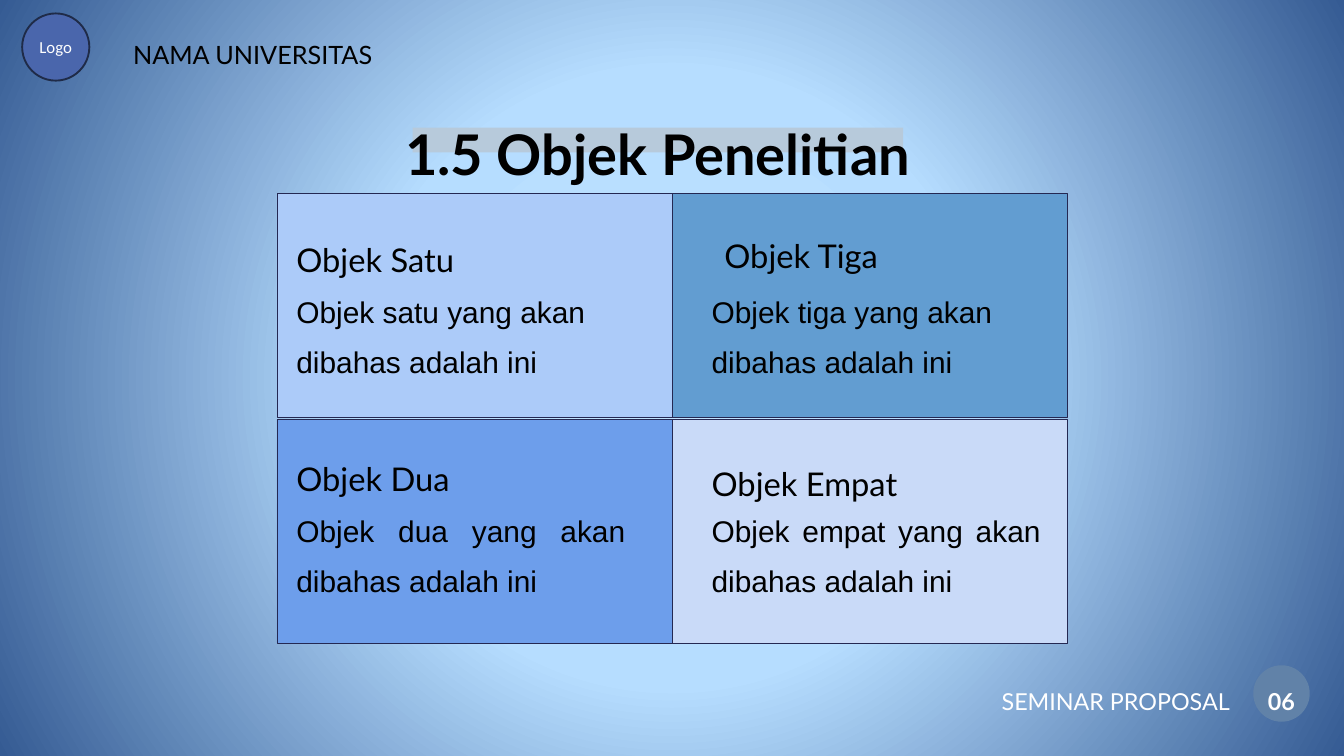
from pptx import Presentation
from pptx.dml.color import RGBColor
from pptx.enum.shapes import MSO_SHAPE
from pptx.enum.text import MSO_ANCHOR, MSO_AUTO_SIZE, PP_ALIGN
from pptx.oxml import parse_xml
from pptx.oxml.ns import nsdecls
from pptx.util import Inches, Pt

COLORS = {
    "black": "000000", "white": "FFFFFF", "outline": "242852",
    "satu": "ACCBF9", "tiga": "629DD1", "dua": "6D9EEB", "empat": "C9DAF8",
    "highlight": "B7CADB", "page_circle": "6182A8",
    "logo": "4A66AC", "logo_line": "1F2B48",
    "center": "C0E3FF", "middle": "B6DDFF", "edge": "355B93",
}

deck = Presentation()
deck.slide_width, deck.slide_height = Inches(20), Inches(11.25)
slide = deck.slides.add_slide(deck.slide_layouts[5])


def add_block(shape, left, top, width, height, fill, line=None, line_width=0.75):
    block = slide.shapes.add_shape(
        shape, Inches(left), Inches(top), Inches(width), Inches(height))
    block.shadow.inherit = False
    block.fill.solid()
    block.fill.fore_color.rgb = RGBColor.from_string(COLORS[fill])
    if line:
        block.line.color.rgb = RGBColor.from_string(COLORS[line])
        block.line.width = Pt(line_width)
    else:
        block.line.fill.background()
    return block


def add_text(text, left, top, width, height, size, font="Lato", color="black",
             bold=False, align=PP_ALIGN.LEFT, spacing=1.4, box=None):
    if box is None:
        box = slide.shapes.add_textbox(0, 0, 0, 0)
    box.left, box.top = Inches(left), Inches(top)
    box.width, box.height = Inches(width), Inches(height)
    frame = box.text_frame
    frame.word_wrap = True
    frame.auto_size = MSO_AUTO_SIZE.SHAPE_TO_FIT_TEXT
    frame.vertical_anchor = MSO_ANCHOR.TOP
    frame.margin_left = frame.margin_right = 0
    frame.margin_top = frame.margin_bottom = 0
    para = frame.paragraphs[0]
    para.alignment, para.line_spacing = align, spacing
    para.space_before = Pt(0)
    span = para.add_run()
    span.text = text
    span.font.name, span.font.size, span.font.bold = font, Pt(size), bold
    span.font.color.rgb = RGBColor.from_string(COLORS[color])


# Radial background
stops = "".join(
    f'<a:gs pos="{position * 1000}"><a:srgbClr val="{COLORS[name]}"/></a:gs>'
    for position, name in [(0, "center"), (40, "middle"), (100, "edge")])
background = parse_xml(
    f'<p:bg {nsdecls("p", "a")}><p:bgPr><a:gradFill rotWithShape="1">'
    f'<a:gsLst>{stops}</a:gsLst><a:path path="circle">'
    '<a:fillToRect l="50000" t="50000" r="50000" b="50000"/></a:path>'
    '</a:gradFill><a:effectLst/></p:bgPr></p:bg>')
slide._element.cSld.insert(0, background)

# Two by two grid of panels
panel_width, panel_height = 5.88, 3.33
for index, name in enumerate(["satu", "tiga", "dua", "empat"]):
    row, column = divmod(index, 2)
    add_block(MSO_SHAPE.RECTANGLE, 4.12 + column * panel_width, 2.88 + row * 3.36,
              panel_width, panel_height, name, line="outline")

# Title over its highlight
add_block(MSO_SHAPE.RECTANGLE, 6.14, 1.9, 7.3, 0.37, "highlight")
title = slide.shapes.title
slide.shapes._spTree.append(title._element)
add_text("1.5 Objek Penelitian", 5.58, 1.38, 8.41, 1.01, 60, bold=True,
         align=PP_ALIGN.CENTER, box=title)

# Panel headings and descriptions
objects = [
    ("Satu", 4.41, 3.34, 4.41, 4.16, PP_ALIGN.LEFT),
    ("Tiga", 10.78, 3.27, 10.59, 4.16, PP_ALIGN.LEFT),
    ("Dua", 4.41, 6.59, 4.41, 7.41, PP_ALIGN.JUSTIFY),
    ("Empat", 10.59, 6.67, 10.59, 7.41, PP_ALIGN.JUSTIFY),
]
for name, heading_left, heading_top, left, top, align in objects:
    add_text(f"Objek {name}", heading_left, heading_top, 3.6, 0.59, 35)
    add_text(f"Objek {name.lower()} yang akan dibahas adalah ini",
             left, top, 4.9, 1.29, 32, font="Arial", align=align)

# Footer
add_block(MSO_SHAPE.OVAL, 18.65, 9.9, 0.84, 0.84, "page_circle")
add_text("06", 18.63, 10.06, 0.88, 0.46, 25, color="white", bold=True,
         align=PP_ALIGN.CENTER)
add_text("SEMINAR PROPOSAL", 14.21, 10.06, 4.09, 0.42, 25, color="white",
         align=PP_ALIGN.RIGHT)

# Header
badge = add_block(MSO_SHAPE.OVAL, 0.33, 0.2, 1, 1, "logo", line="logo_line", line_width=2)
badge.text_frame.vertical_anchor = MSO_ANCHOR.MIDDLE
para = badge.text_frame.paragraphs[0]
para.alignment = PP_ALIGN.CENTER
span = para.add_run()
span.text = "Logo"
span.font.name, span.font.size = "Calibri", Pt(18)
span.font.color.rgb = RGBColor.from_string(COLORS["white"])
add_text("NAMA UNIVERSITAS", 1.98, 0.47, 3.6, 0.91, 27,
         align=PP_ALIGN.JUSTIFY, spacing=1.24)

deck.save("out.pptx")
